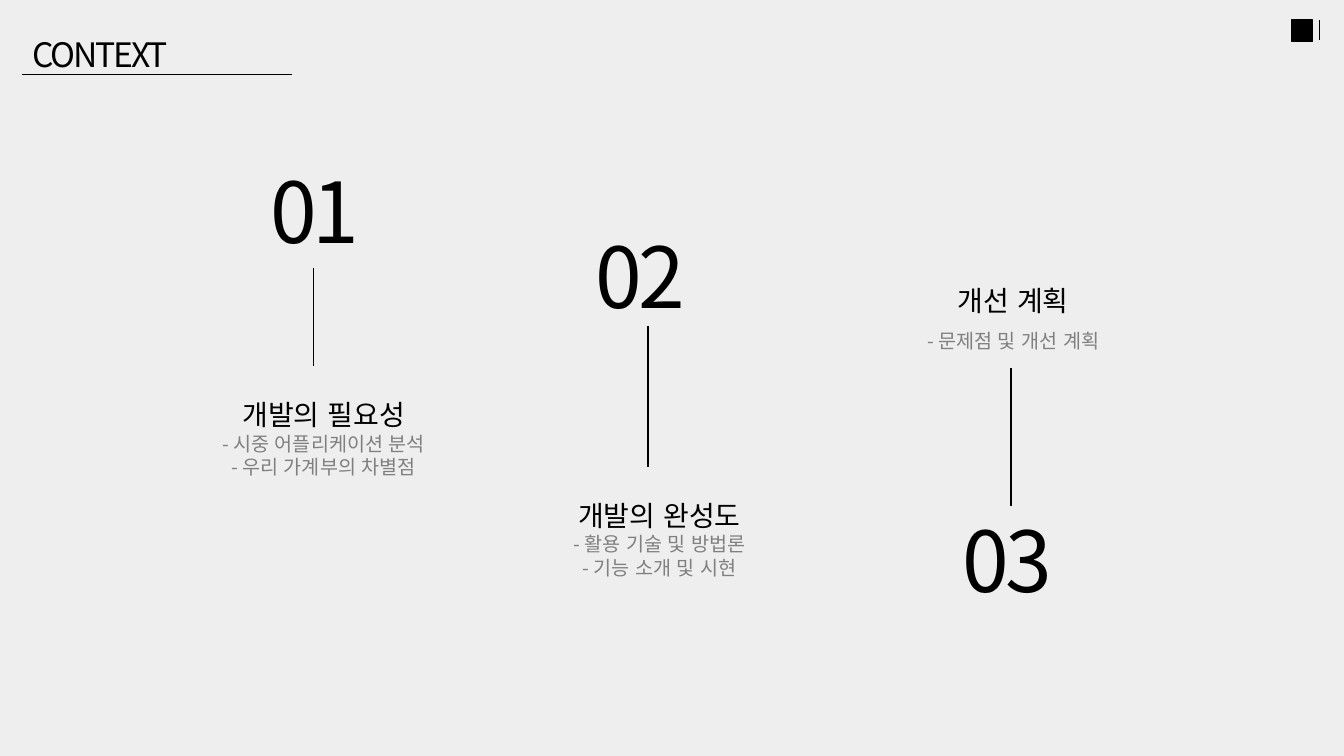
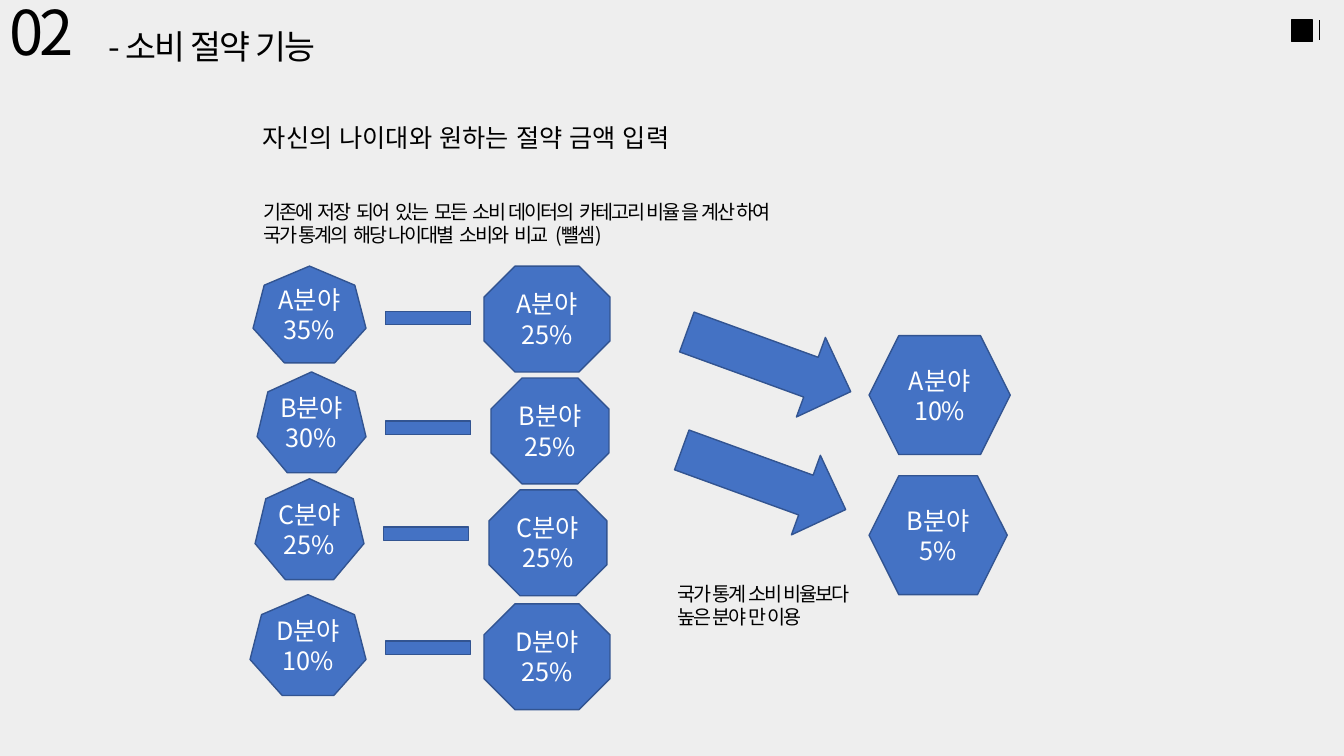
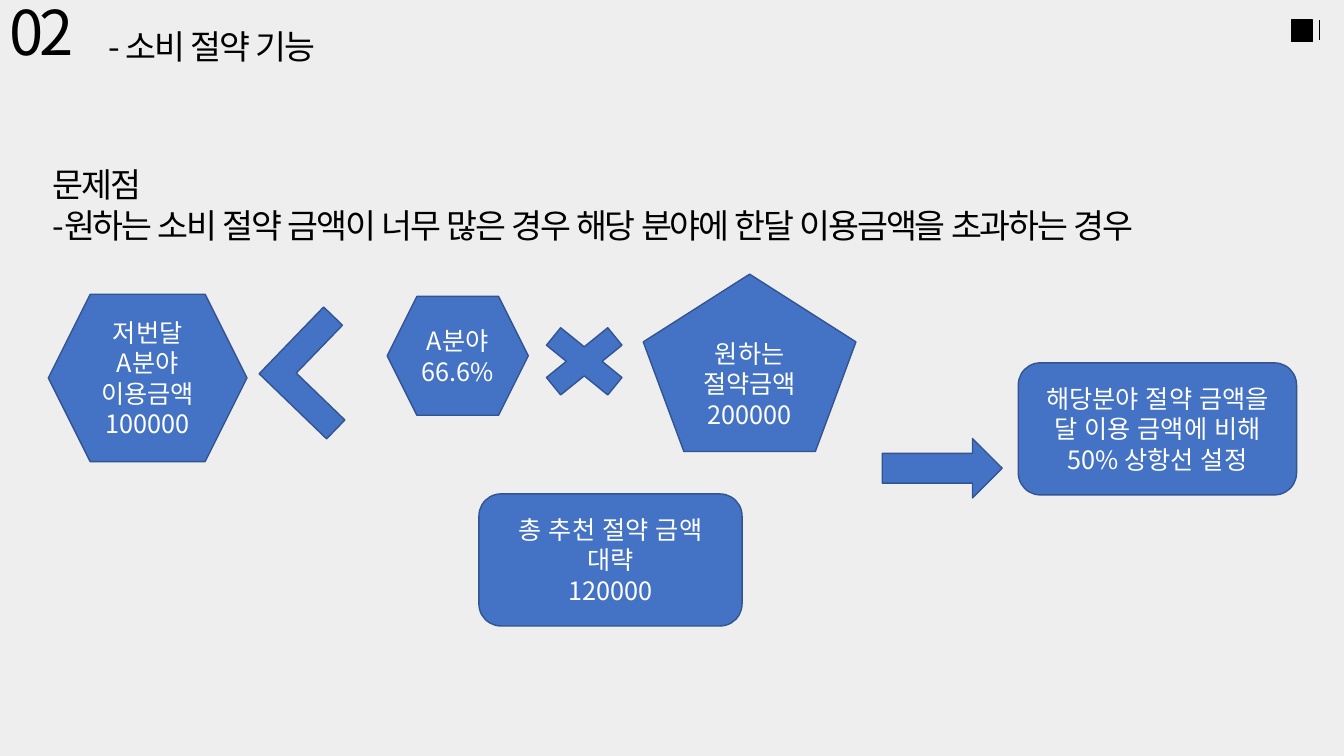
from lxml.etree import SubElement
from pptx import Presentation
from pptx.dml.color import RGBColor
from pptx.enum.lang import MSO_LANGUAGE_ID as Language
from pptx.enum.shapes import MSO_CONNECTOR as Connector, MSO_SHAPE as Shape
from pptx.enum.text import MSO_ANCHOR as Anchor, MSO_AUTO_SIZE as AutoSize, PP_ALIGN as Align
from pptx.oxml.ns import qn
from pptx.util import Inches, Pt

FONT = "Noto Sans CJK KR"
BLACK, GRAY, WHITE = "000000", "808080", "FFFFFF"
PAPER, BLUE, NAVY = "EEEEEE", "4472C4", "325491"
TITLE_BODY, COMPARISON = 1, 4


def color(hex_value):
    return RGBColor.from_string(hex_value)


def inches(*lengths):
    return [Inches(length) for length in lengths]


def write(para, text, size, ink=BLACK, tracking=0, align=Align.LEFT, spacing=1.0):
    para.alignment = align
    para.line_spacing = spacing
    para.space_before = para.space_after = Pt(0)
    span = para.add_run()
    span.text = text
    font = span.font
    font.size, font.name, font.bold = Pt(size), FONT, False
    font.language_id = Language.KOREAN
    font.color.rgb = color(ink)
    props = span._r.get_or_add_rPr()
    SubElement(props, qn("a:ea")).set("typeface", FONT)
    if tracking:
        props.set("spc", str(int(tracking * 100)))


def write_lines(frame, lines, size, **style):
    for index, line in enumerate(lines):
        para = frame.add_paragraph() if index else frame.paragraphs[0]
        write(para, line, size, **style)


def open_frame(holder):
    frame = holder.text_frame
    frame.word_wrap = True
    frame.auto_size = AutoSize.NONE
    frame.vertical_anchor = Anchor.TOP
    return frame


def place(holder, box):
    holder.left, holder.top, holder.width, holder.height = inches(*box)
    return open_frame(holder)


def drop_bullets(frame):
    for para in frame.paragraphs:
        props = para._p.get_or_add_pPr()
        props.set("marL", "0")
        props.set("indent", "0")
        SubElement(props, qn("a:buNone"))


def text_box(page, box, lines, size, **style):
    frame = open_frame(page.shapes.add_textbox(*inches(*box)))
    write_lines(frame, lines, size, **style)


def body_text(page, box, lines, size, **style):
    frame = place(page.placeholders[1], box)
    write_lines(frame, lines, size, **style)
    drop_bullets(frame)


def rule(page, start, end, weight):
    line = page.shapes.add_connector(Connector.STRAIGHT, *inches(*start, *end))
    line.line.color.rgb = color(BLACK)
    line.line.width = Pt(weight)
    SubElement(line._element.spPr, qn("a:effectLst"))


def paint(shape, fill=BLUE, edge=NAVY, turn=0):
    shape.shadow.inherit = False
    shape.fill.solid()
    shape.fill.fore_color.rgb = color(fill)
    shape.line.color.rgb = color(edge)
    shape.line.width = Pt(1)
    shape.rotation = turn


def figure(page, kind, box, lines=(), **look):
    shape = page.shapes.add_shape(kind, *inches(*box))
    paint(shape, **look)
    shape.text_frame.vertical_anchor = Anchor.MIDDLE
    write_lines(shape.text_frame, lines, 18, ink=WHITE, align=Align.CENTER)


def less_than_sign(page, box, thickness, turn):
    left, top, width, height = box
    right, bottom = left + width, top + height
    inner_x, inner_y = left + thickness, bottom - thickness
    corners = [(inner_x, top), (inner_x, inner_y), (right, inner_y),
               (right, bottom), (left, bottom)]
    outline = page.shapes.build_freeform(*inches(left, top))
    outline.add_line_segments([inches(*corner) for corner in corners])
    paint(outline.convert_to_shape(), turn=turn)


def corner_mark(page, left=12.81, top=0.2):
    figure(page, Shape.RECTANGLE, (left, top, 0.21, 0.21), fill=BLACK, edge=BLACK)
    rule(page, (left + 0.28, top), (left + 0.28, top + 0.2), 0.5)


def new_page(deck, layout, title, title_box):
    page = deck.slides.add_slide(deck.slide_layouts[layout])
    write(place(page.shapes.title, title_box).paragraphs[0], title, 24, tracking=-1.5)
    corner_mark(page)
    return page


def section_page(deck):
    page = new_page(deck, TITLE_BODY, "- 소비 절약 기능", (0.98, 0.21, 2.6, 0.49))
    text_box(page, (0, -0.11, 1.48, 0.94), ["02"], 44, tracking=-3)
    return page


def chapter(page, holder, number, number_at, stem, box, heading, topics, topic_spacing):
    text_box(page, (*number_at, 1.48, 1.21), [number], 60, tracking=-3)
    stem_x, stem_top, stem_bottom = stem
    rule(page, (stem_x, stem_top), (stem_x, stem_bottom), 1.25)
    frame = place(holder, box)
    write(frame.paragraphs[0], heading, 20, align=Align.CENTER, spacing=1.5)
    for topic in topics:
        write(frame.add_paragraph(), topic, 14, ink=GRAY, align=Align.CENTER, spacing=topic_spacing)
    drop_bullets(frame)


def context_slide(deck):
    page = new_page(deck, COMPARISON, "CONTEXT", (0.22, 0.29, 3.12, 0.5))
    rule(page, (0.22, 0.74), (2.9, 0.74), 0.5)
    chapters = [
        ("01", (2.58, 1.53), (3.11, 2.66, 3.63), (1.53, 3.73, 3.36, 1.07),
         "개발의 필요성", ["- 시중 어플리케이션 분석", "- 우리 가계부의 차별점"], 1.0),
        ("02", (5.81, 2.18), (6.43, 3.23, 4.63), (5.32, 4.73, 2.44, 1.06),
         "개발의 완성도", ["- 활용 기술 및 방법론", "- 기능 소개 및 시현"], 1.0),
        ("03", (9.45, 5.0), (10.03, 3.65, 5.02), (8.37, 2.6, 3.36, 1.18),
         "개선 계획", ["- 문제점 및 개선 계획"], 1.5),
    ]
    title, *holders = list(page.placeholders)
    for holder, details in zip(holders, chapters):
        chapter(page, holder, *details)
    for spare in holders[len(chapters):]:
        spare._element.getparent().remove(spare._element)


def comparison_row(page, name, share, own_box, minus_at, average_box):
    figure(page, Shape.HEPTAGON, own_box, [name, share])
    figure(page, Shape.MATH_MINUS, (*minus_at, 1.15, 0.57))
    figure(page, Shape.OCTAGON, average_box, [name, "25%"])


def result(page, box, text, arrow_at):
    figure(page, Shape.HEXAGON, box, [text])
    figure(page, Shape.RIGHT_ARROW, (*arrow_at, 1.73, 0.84), turn=20)


def saving_slide(deck):
    page = section_page(deck)
    text_box(page, (2.51, 1.16, 8.21, 0.4), ["자신의 나이대와 원하는 절약 금액 입력"], 18)
    body_text(page, (2.51, 1.93, 5.81, 0.57), [
        "기존에  저장  되어  있는  모든  소비 데이터의  카테고리 비율 을 계산 하여",
        "국가 통계의  해당 나이대별  소비와  비교  (뺼셈)",
    ], 14, tracking=-1.5)
    text_box(page, (6.62, 5.72, 2.01, 0.57), ["국가 통계 소비 비율보다 높은 분야 만 이용"],
             14, tracking=-1.5)
    rows = [
        ("A분야", "35%", (2.51, 2.64, 1.12, 0.96), (3.67, 2.87), (4.8, 2.64, 1.25, 1.05)),
        ("B분야", "30%", (2.55, 3.69, 1.08, 1), (3.67, 3.96), (4.87, 3.75, 1.17, 1.05)),
        ("C분야", "25%", (2.53, 4.75, 1.08, 1), (3.65, 5.01), (4.85, 4.86, 1.17, 1.05)),
        ("D분야", "10%", (2.48, 5.9, 1.15, 1), (3.67, 6.14), (4.8, 5.99, 1.25, 1.05)),
    ]
    for row in rows:
        comparison_row(page, *row)
    result(page, (8.62, 3.33, 1.4, 1.18), "A분야10%", (6.76, 3.17))
    result(page, (8.62, 4.72, 1.37, 1.18), "B분야 5%", (6.71, 4.34))


def problem_slide(deck):
    page = section_page(deck)
    body_text(page, (0.42, 1.58, 12.09, 0.91), [
        "문제점",
        "-원하는 소비 절약 금액이 너무 많은 경우 해당 분야에 한달 이용금액을 초과하는 경우",
    ], 24, tracking=-1.5)
    figures = [
        (Shape.HEXAGON, (0.48, 2.92, 1.97, 1.66), ["저번달", "A분야", "이용금액100000"]),
        (Shape.HEXAGON, (3.84, 2.94, 1.4, 1.18), ["A분야66.6%"]),
        (Shape.MATH_MULTIPLY, (5.21, 3.11, 1.17, 0.95), []),
        (Shape.REGULAR_PENTAGON, (6.38, 2.72, 2.11, 1.76), ["원하는", "절약금액", "200000"]),
        (Shape.ROUNDED_RECTANGLE, (4.75, 4.9, 2.61, 1.31), ["총 추천 절약 금액 대략", "120000"]),
        (Shape.RIGHT_ARROW, (8.75, 4.35, 1.19, 0.59), []),
        (Shape.ROUNDED_RECTANGLE, (10.1, 3.6, 2.76, 1.31),
         ["해당분야 절약 금액을", "달 이용 금액에 비해 50% 상항선 설정"]),
    ]
    for kind, box, lines in figures:
        figure(page, kind, box, lines)
    less_than_sign(page, (2.76, 3.24, 0.93, 0.92), 0.26, 44)


def main():
    deck = Presentation()
    deck.slide_width, deck.slide_height = inches(13.33, 7.5)
    backdrop = deck.slide_master.background.fill
    backdrop.solid()
    backdrop.fore_color.rgb = color(PAPER)
    context_slide(deck)
    saving_slide(deck)
    problem_slide(deck)
    deck.save("out.pptx")


if __name__ == "__main__":
    main()
